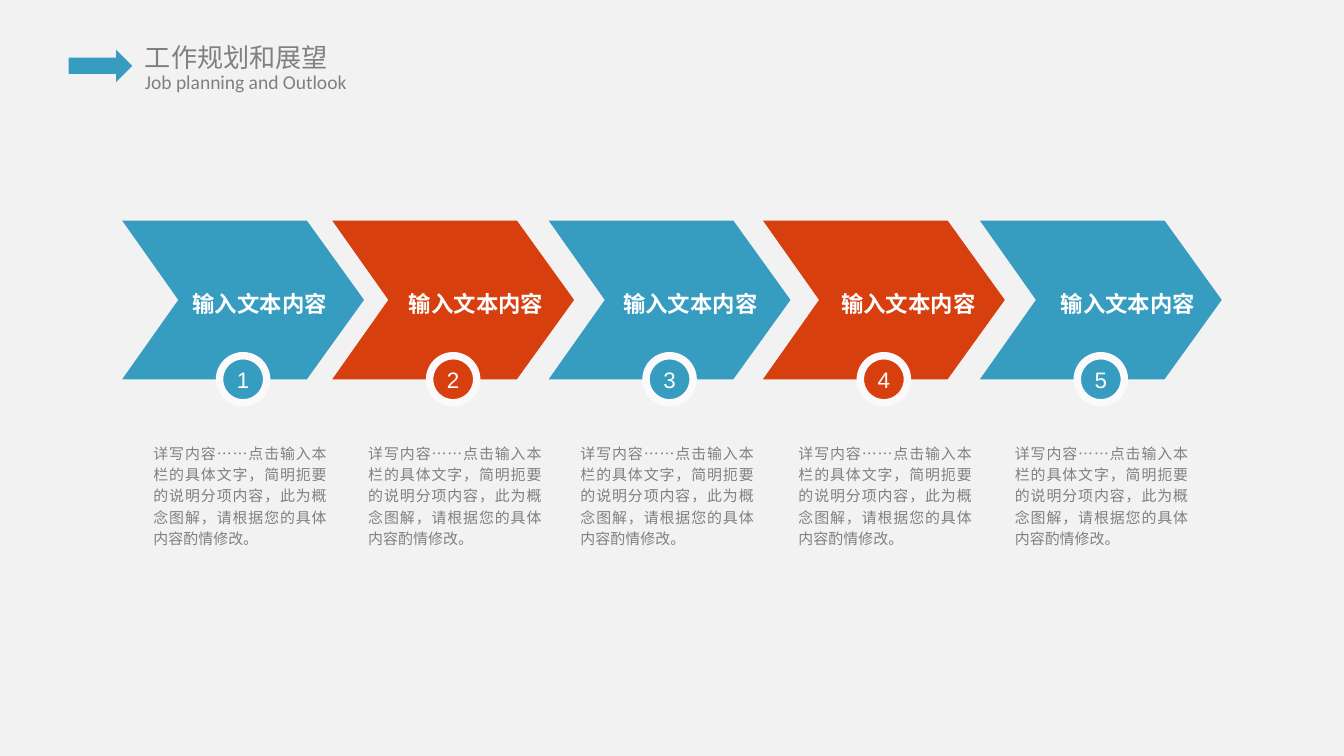
from dataclasses import dataclass

from pptx import Presentation
from pptx.dml.color import RGBColor
from pptx.enum.shapes import MSO_SHAPE
from pptx.enum.text import MSO_ANCHOR, MSO_AUTO_SIZE, PP_ALIGN
from pptx.oxml.ns import qn
from pptx.util import Cm, Pt

RIGHT_ARROW, OVAL = MSO_SHAPE.RIGHT_ARROW, MSO_SHAPE.OVAL
TOP, MIDDLE = MSO_ANCHOR.TOP, MSO_ANCHOR.MIDDLE
LEFT, CENTER, JUSTIFY = PP_ALIGN.LEFT, PP_ALIGN.CENTER, PP_ALIGN.JUSTIFY
GROW = MSO_AUTO_SIZE.SHAPE_TO_FIT_TEXT


@dataclass(frozen=True)
class Theme:
    background: str = "F2F2F2"
    blue: str = "369CC0"
    orange: str = "D73F0F"
    ring: str = "FBF9FC"
    white: str = "FFFFFF"
    grey: str = "808080"
    chinese: str = "Noto Sans CJK SC"
    english: str = "Calibri"
    digits: str = "Arial"
    heading: float = 14
    subheading: float = 10.5
    label: float = 12
    body: float = 8


theme = Theme()


def write(box, text, font, size, color, align=LEFT, bold=False, spacing=None, **frame_format):
    frame = box.text_frame
    margins = dict.fromkeys(("margin_left", "margin_top", "margin_right", "margin_bottom"), 0)
    for name, value in {**margins, "word_wrap": False, **frame_format}.items():
        setattr(frame, name, value)
    para = frame.paragraphs[0]
    para.alignment, para.line_spacing = align, spacing
    span = para.add_run()
    span.text = text
    for name, value in {"name": font, "size": Pt(size), "bold": bold}.items():
        setattr(span.font, name, value)
    span.font.color.rgb = RGBColor.from_string(color)
    east_asian = span.font._element.makeelement(qn("a:ea"), {"typeface": font})
    span.font._element.find(qn("a:latin")).addnext(east_asian)


def paint(shape, fill, line=None):
    shape.shadow.inherit = False
    shape.fill.solid()
    shape.fill.fore_color.rgb = RGBColor.from_string(fill)
    if line:
        shape.line.color.rgb = RGBColor.from_string(line)
        shape.line.width = Pt(4)
    else:
        shape.line.fill.background()


deck = Presentation()
deck.slide_width, deck.slide_height = Cm(25.4), Cm(14.29)
page = deck.slides.add_slide(deck.slide_layouts[6])
page.background.fill.solid()
page.background.fill.fore_color.rgb = RGBColor.from_string(theme.background)
shapes = page.shapes

# Heading with its arrow
inset = {"margin_left": Cm(0.25), "margin_right": Cm(0.25),
         "margin_top": Cm(0.13), "margin_bottom": Cm(0.13), "auto_size": GROW}
for text, font, size, top, width, height in (
    ("工作规划和展望", theme.chinese, theme.heading, 0.66, 4.04, 0.86),
    ("Job planning and Outlook", theme.english, theme.subheading, 1.19, 4.39, 0.71),
):
    box = shapes.add_textbox(Cm(2.49), Cm(top), Cm(width), Cm(height))
    write(box, text, font, size, theme.grey, **inset)
paint(shapes.add_shape(RIGHT_ARROW, Cm(1.3), Cm(0.94), Cm(1.2), Cm(0.61)), theme.blue)

# Five steps: left of the chevron, middle of its label, left of its description
steps = (
    (2.31, 4.91, 2.9),
    (6.28, 9, 6.96),
    (10.37, 13.05, 10.97),
    (14.42, 17.17, 15.09),
    (18.52, 21.32, 19.18),
)
label_text = "输入文本内容"
body_text = "详写内容……点击输入本栏的具体文字，简明扼要的说明分项内容，此为概念图解，请根据您的具体内容酌情修改。"
chevron_top, chevron_height = 4.17, 3
chevron_bottom = chevron_top + chevron_height
chevron_middle = chevron_top + chevron_height / 2
notch, shoulder, tip = 1.06, 3.49, 4.57
label_width, label_height, label_middle = 2.57, 0.46, 5.73
circle_size, circle_offset = 0.89, 1.84

for number, (left, label_center, body_left) in enumerate(steps, start=1):
    color = theme.blue if number % 2 else theme.orange

    # Chevron
    outline = shapes.build_freeform(Cm(left), Cm(chevron_top))
    outline.add_line_segments([(Cm(left + x), Cm(y)) for x, y in (
        (notch, chevron_middle), (0, chevron_bottom), (shoulder, chevron_bottom),
        (tip, chevron_middle), (shoulder, chevron_top))])
    paint(outline.convert_to_shape(), color)

    # Label
    box = shapes.add_textbox(Cm(label_center - label_width / 2), Cm(label_middle - label_height / 2),
                             Cm(label_width), Cm(label_height))
    write(box, label_text, theme.chinese, theme.label, theme.white, CENTER,
          bold=True, vertical_anchor=MIDDLE)

    # Numbered circle
    circle = shapes.add_shape(OVAL, Cm(left + circle_offset), Cm(chevron_bottom - circle_size / 2),
                              Cm(circle_size), Cm(circle_size))
    paint(circle, color, theme.ring)
    write(circle, str(number), theme.digits, theme.label, theme.white, CENTER,
          vertical_anchor=MIDDLE)

    # Description
    box = shapes.add_textbox(Cm(body_left), Cm(8.33), Cm(3.28), Cm(2.06))
    write(box, body_text, theme.chinese, theme.body, theme.grey, JUSTIFY, spacing=1.2,
          word_wrap=True, vertical_anchor=TOP, auto_size=GROW)

deck.save("out.pptx")
